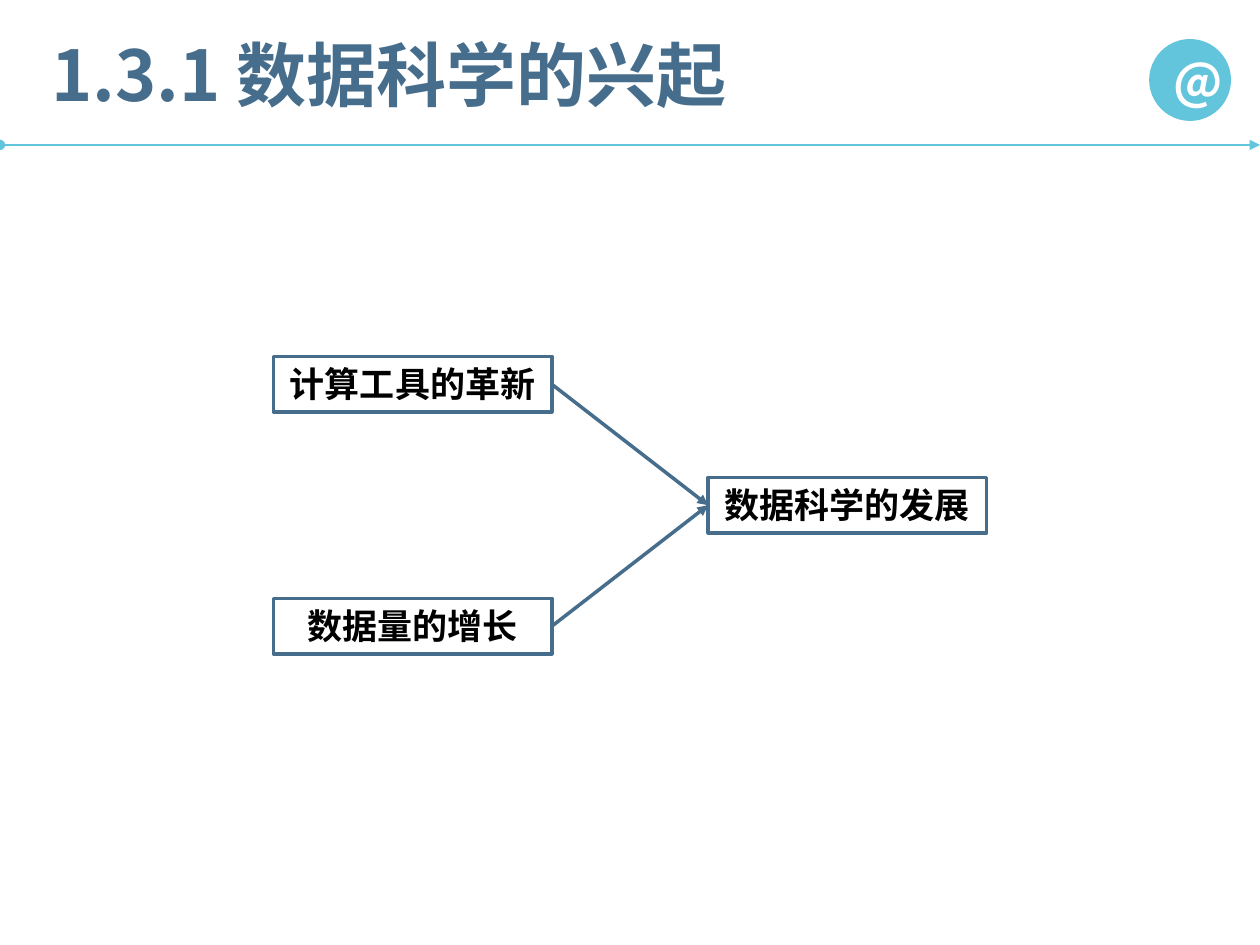
import pptx
import pptx.dml.color
import pptx.enum.shapes
import pptx.enum.text
import pptx.oxml.ns
import pptx.util
from lxml import etree
from pptx.util import Inches

COLORS = {"navy": "466E8C", "cyan": "62C5DC", "white": "FFFFFF", "black": "000000"}
FONT = "Noto Sans CJK SC"
qn = pptx.oxml.ns.qn
rgb = pptx.dml.color.RGBColor.from_string
SHAPES = pptx.enum.shapes.MSO_SHAPE
ALIGN = pptx.enum.text.PP_ALIGN

presentation = pptx.Presentation()
presentation.slide_width = Inches(10)
presentation.slide_height = Inches(7.5)
slide = presentation.slides.add_slide(presentation.slide_layouts[6])


def write_text(shape, text, size, color, alignment):
    shape.text_frame.word_wrap = True
    paragraph = shape.text_frame.paragraphs[0]
    paragraph.text = text
    paragraph.alignment = alignment
    font = paragraph.font
    font.name = FONT
    font.size = pptx.util.Pt(size)
    font.bold = True
    font.color.rgb = rgb(COLORS[color])
    # Chinese characters take the East Asian typeface
    properties = paragraph._p.pPr.find(qn("a:defRPr"))
    etree.SubElement(properties, qn("a:ea"), typeface=FONT)


def add_arrow(start, end, color, width, head=None):
    points = [Inches(value) for value in (*start, *end)]
    connector = slide.shapes.add_connector(
        pptx.enum.shapes.MSO_CONNECTOR.STRAIGHT, *points)
    connector.line.color.rgb = rgb(COLORS[color])
    connector.line.width = pptx.util.Pt(width)
    line = connector.line._get_or_add_ln()
    if head:
        etree.SubElement(line, qn("a:headEnd"), type=head)
    etree.SubElement(line, qn("a:tailEnd"), type="triangle")
    etree.SubElement(connector._element.spPr, qn("a:effectLst"))


# Title and rule
title = slide.shapes.add_textbox(Inches(0.31), Inches(0.2), Inches(6.52), Inches(0.77))
write_text(title, "1.3.1 数据科学的兴起", 40, "navy", ALIGN.LEFT)
add_arrow((0, 1.15), (10, 1.15), "cyan", 0.75, head="oval")

# Round badge
badge = slide.shapes.add_shape(
    SHAPES.OVAL, Inches(9.12), Inches(0.31), Inches(0.65), Inches(0.65))
badge.shadow.inherit = False
badge.fill.solid()
badge.fill.fore_color.rgb = rgb(COLORS["cyan"])
badge.line.fill.background()
badge.text_frame.vertical_anchor = pptx.enum.text.MSO_ANCHOR.MIDDLE
write_text(badge, "@", 28, "white", ALIGN.CENTER)

# Two causes and their result
box_width, box_height = 2.21, 0.44
cause_left, result_left, result_top = 2.17, 5.62, 3.79
boxes = [
    ("计算工具的革新", cause_left, result_top - 0.96),
    ("数据量的增长", cause_left, result_top + 0.96),
    ("数据科学的发展", result_left, result_top),
]
for text, left, top in boxes:
    box = slide.shapes.add_shape(
        SHAPES.RECTANGLE, Inches(left), Inches(top), Inches(box_width), Inches(box_height))
    box.shadow.inherit = False
    box.fill.background()
    box.line.color.rgb = rgb(COLORS["navy"])
    box.line.width = pptx.util.Pt(2)
    box.text_frame.vertical_anchor = pptx.enum.text.MSO_ANCHOR.TOP
    write_text(box, text, 20, "black", ALIGN.CENTER)

# Arrows from each cause to the result
for text, left, top in boxes[:2]:
    add_arrow((left + box_width, top + box_height / 2),
              (result_left, result_top + box_height / 2), "navy", 2)

presentation.save("out.pptx")
